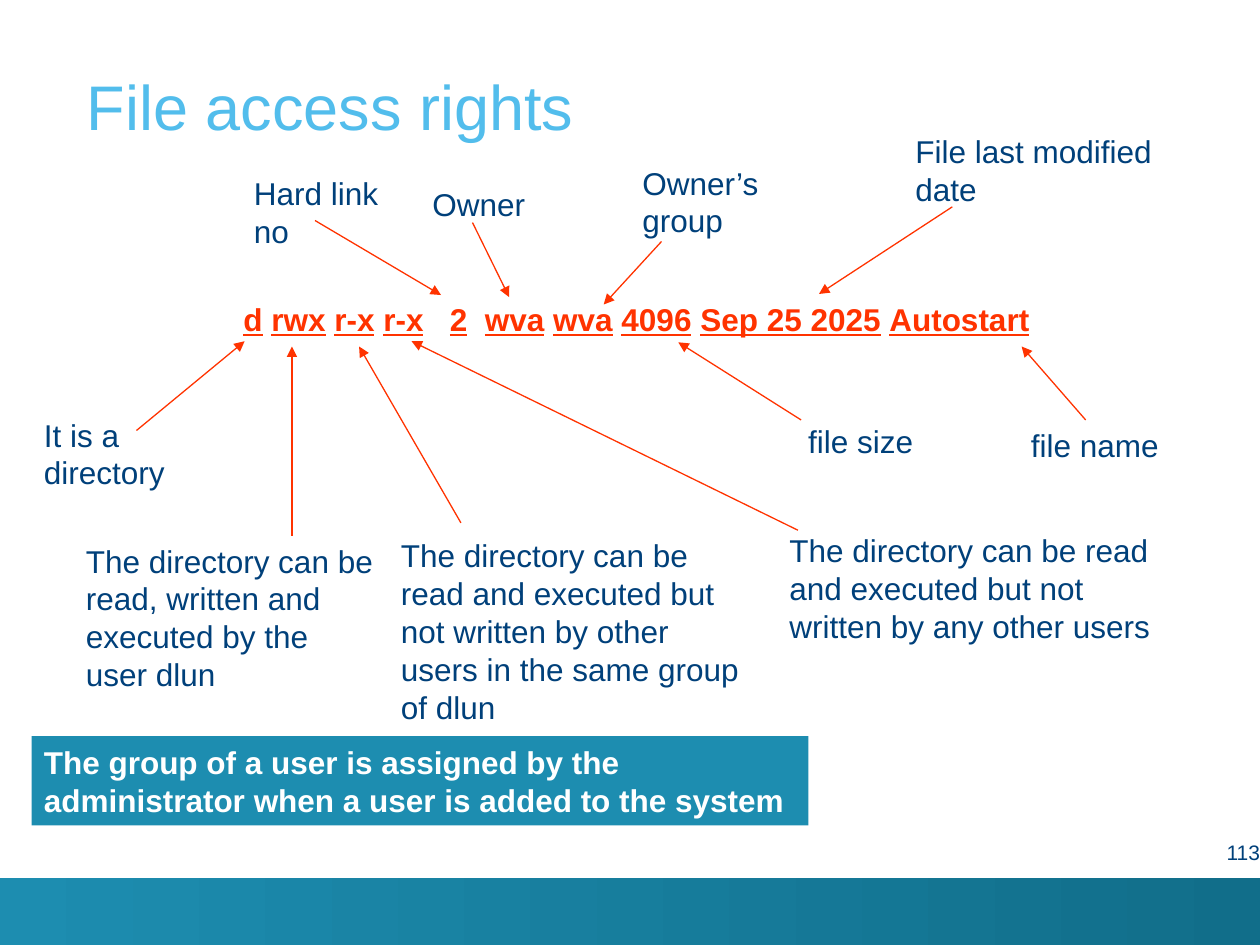
import pptx
import pptx.util
import pptx.dml.color
import pptx.enum.shapes
import pptx.enum.text
import pptx.oxml.ns
from lxml import etree

RGBColor = pptx.dml.color.RGBColor
NAVY = RGBColor(0x00, 0x40, 0x7A)
SKY = RGBColor(0x52, 0xBD, 0xEC)
TEAL = RGBColor(0x1D, 0x8D, 0xB0)
DARK_TEAL = RGBColor(0x11, 0x6E, 0x8A)
RED = RGBColor(0xFF, 0x33, 0x00)
WHITE = RGBColor(0xFF, 0xFF, 0xFF)

# The slide is a grid of 120 columns and 90 rows, twelve to the inch
COLUMNS, ROWS = 120, 90
UNIT = pptx.util.Inches(10) // COLUMNS

BODY = {"name": "Arial", "size": pptx.util.Pt(18)}
LABEL = BODY | {"color": NAVY}
COMMAND = BODY | {"color": RED, "bold": True}
BANNER = BODY | {"color": WHITE, "bold": True}
TITLE = BODY | {"color": SKY, "size": pptx.util.Pt(36)}
PAGE_NUMBER = LABEL | {"size": pptx.util.Pt(12)}

# Fields of the listing, each with the gap that follows it
FIELDS = [
    ("d", " "), ("rwx", " "), ("r-x", " "), ("r-x", "   "), ("2", "  "),
    ("wva", " "), ("wva", " "), ("4096", " "), ("Sep 25 2025", " "),
    ("Autostart", ""),
]

# Text, box (column, row, width, height), wrap, arrow start, arrow tip
CALLOUTS = [
    ("It is a directory", (3, 39, 17, 10.8), True, (13, 41), (23.3, 32.5)),
    ("The directory can be read, written and executed by the user dlun",
     (7, 51, 30, 25.2), True, (27.8, 51), (27.8, 33)),
    ("The directory can be read and executed but not written by other "
     "users in the same group of dlun",
     (37, 50.5, 36, 25.2), True, (43.9, 49.8), (34.2, 33)),
    ("The directory can be read and executed but not written by any other users",
     (74, 50, 39, 12.1), True, (76, 50.5), (39.2, 32.5)),
    ("Owner", (40, 17, 17, 6), True, (45, 21.2), (48.5, 28.3)),
    ("Owner’s group", (60, 15, 17, 10.8), True, (63, 23), (57.5, 29)),
    ("file size", (75.8, 39.6, 14.9, 6), False, (76.3, 40), (64.6, 32.6)),
    ("File last modified date", (86, 12, 27, 10.8), True, (90.7, 19.7), (78, 28)),
    ("Hard link no", (23, 16, 16, 10.8), True, (30, 21), (42, 28.1)),
    ("file name", (97, 40, 17.4, 6), False, (103.4, 40), (97.3, 33)),
]


def grid(values):
    """Turn grid units into slide lengths."""
    return [round(value * UNIT) for value in values]


def add_run(paragraph, text, font_format):
    run = paragraph.add_run()
    run.text = text
    for name, value in font_format.items():
        if name == "color":
            run.font.color.rgb = value
        else:
            setattr(run.font, name, value)


def set_frame(shape, frame_format):
    for name, value in frame_format.items():
        setattr(shape.text_frame, name, value)


def add_text(slide, box, text, font_format, **frame_format):
    shape = slide.shapes.add_textbox(*grid(box))
    set_frame(shape, {"word_wrap": True} | frame_format)
    paragraph = shape.text_frame.paragraphs[0]
    if text:
        add_run(paragraph, text, font_format)
    return paragraph


def add_bar(slide, box):
    shape = slide.shapes.add_shape(
        pptx.enum.shapes.MSO_SHAPE.RECTANGLE, *grid(box))
    shape.shadow.inherit = False
    shape.line.fill.background()
    return shape


def add_arrow(slide, start, tip):
    arrow = slide.shapes.add_connector(
        pptx.enum.shapes.MSO_CONNECTOR.STRAIGHT, *grid(start + tip))
    arrow.line.color.rgb = RED
    arrow.line.width = pptx.util.Pt(0.75)
    qn = pptx.oxml.ns.qn
    etree.SubElement(arrow.line._get_or_add_ln(), qn("a:tailEnd"), type="triangle")
    etree.SubElement(arrow._element.spPr, qn("a:effectLst"))


def main():
    presentation = pptx.Presentation()
    presentation.slide_width = COLUMNS * UNIT
    presentation.slide_height = ROWS * UNIT
    slide = presentation.slides.add_slide(presentation.slide_layouts[6])
    grow = pptx.enum.text.MSO_AUTO_SIZE.SHAPE_TO_FIT_TEXT

    # Footer band and page number
    footer = add_bar(slide, (0, 83.6, COLUMNS, 6.4))
    footer.fill.gradient()
    footer.fill.gradient_angle = 0
    for stop, color in zip(footer.fill.gradient_stops, (TEAL, DARK_TEAL)):
        stop.color.rgb = color
    margins = {f"margin_{side}": 0 for side in ("left", "top", "right", "bottom")}
    number = add_text(slide, (107.8, 80, 12.2, 3.7), "113", PAGE_NUMBER, **margins)
    number.alignment = pptx.enum.text.PP_ALIGN.RIGHT

    # Directory listing with underlined fields
    listing = add_text(slide, (22, 28, 77.9, 4.8), "", COMMAND,
                       word_wrap=False, auto_size=grow)
    for field, gap in FIELDS:
        add_run(listing, field, COMMAND | {"underline": True})
        if gap:
            add_run(listing, gap, COMMAND)

    # Explanations pointing at the fields
    for text, box, wrap, start, tip in CALLOUTS:
        add_arrow(slide, start, tip)
        add_text(slide, box, text, LABEL, word_wrap=wrap, auto_size=grow)

    # Banner about groups
    banner = add_bar(slide, (3, 70.1, 74, 8.5))
    banner.fill.solid()
    banner.fill.fore_color.rgb = TEAL
    set_frame(banner, {"word_wrap": True, "auto_size": grow})
    paragraph = banner.text_frame.paragraphs[0]
    paragraph.alignment = pptx.enum.text.PP_ALIGN.LEFT
    add_run(paragraph, "The group of a user is assigned by the administrator "
            "when a user is added to the system", BANNER)

    # Title
    add_text(slide, (7.1, 2.4, 109.3, 11.8), "File access rights", TITLE,
             vertical_anchor=pptx.enum.text.MSO_ANCHOR.BOTTOM)

    presentation.save("out.pptx")


if __name__ == "__main__":
    main()
